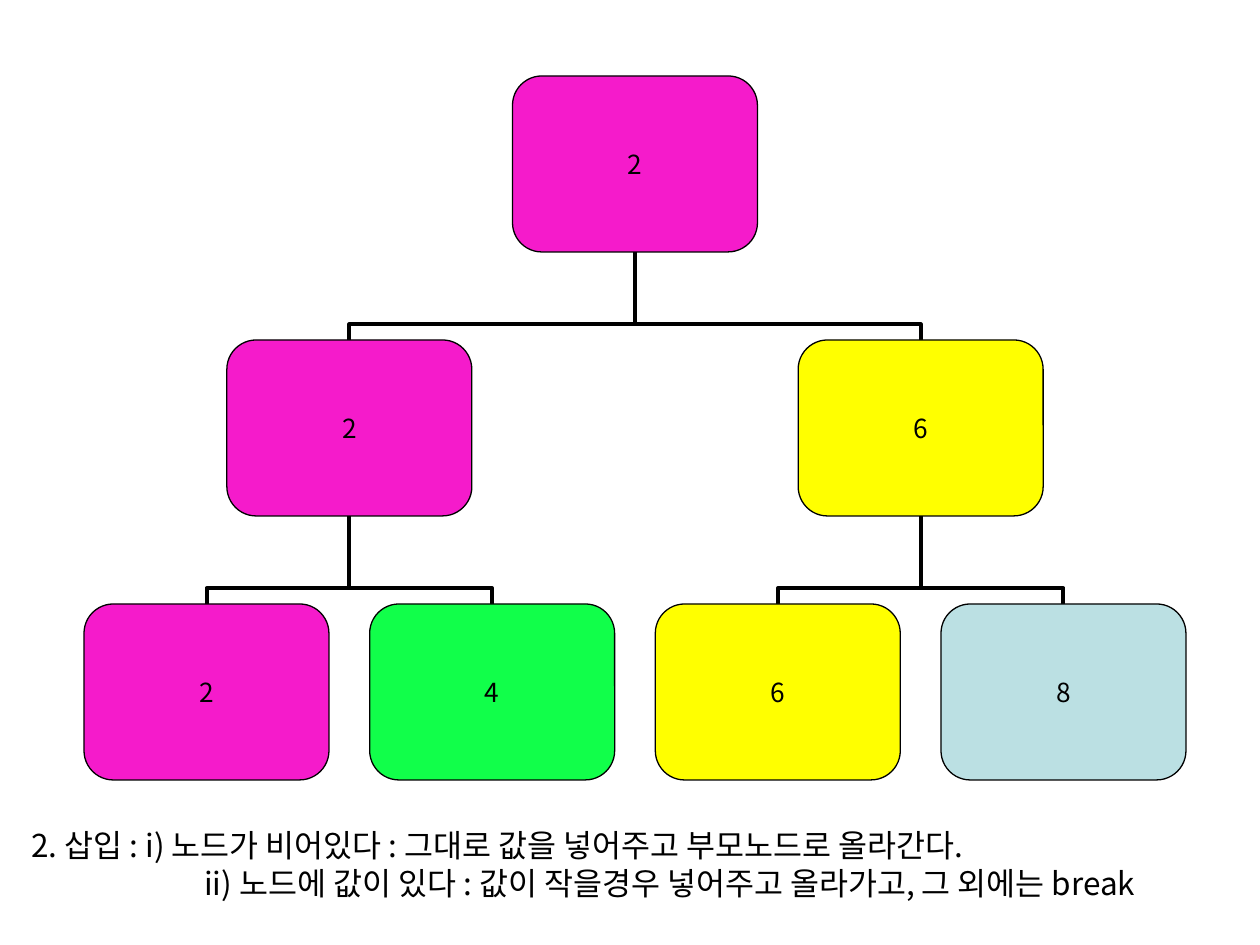
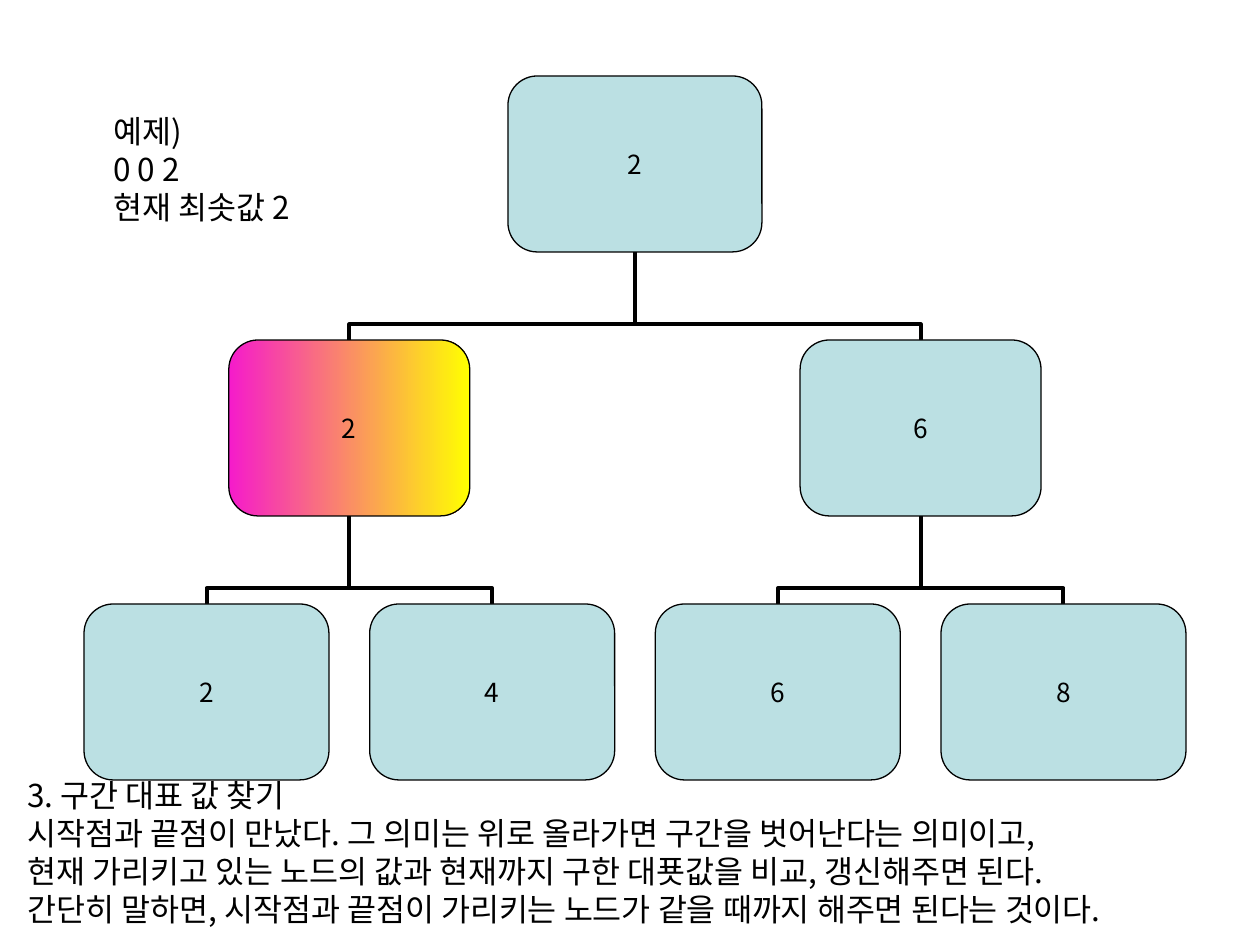
from lxml import etree
from pptx import Presentation
from pptx.dml.color import RGBColor
from pptx.enum.shapes import MSO_CONNECTOR, MSO_SHAPE
from pptx.enum.text import MSO_ANCHOR, PP_ALIGN
from pptx.oxml.ns import qn
from pptx.util import Emu, Pt

ELBOW = MSO_CONNECTOR.ELBOW
ROUND_RECT = MSO_SHAPE.ROUNDED_RECTANGLE
MIDDLE, CENTER = MSO_ANCHOR.MIDDLE, PP_ALIGN.CENTER

SCALE = 914400 // 126  # EMU in one px
FONT = "Noto Sans CJK KR"
COLORS = {
    "black": "000000",
    "magenta": "F51BCB",
    "yellow": "FFFF00",
    "green": "11FF4A",
    "pale": "BBE0E3",
}

# Tree shared by both slides
TREE_BOX = (84, 76, 1102, 704)  # left, top, width, height
LEVELS = [[2], [2, 6], [2, 4, 6, 8]]  # each parent is the minimum of its pair
NODE_H, LEAF_W, NODE_W = 176, 245, [245, 245, 245]
ELBOW_ADJ = 17900  # bend position, in 1/100000 of the height


def px(n):
    return Emu(int(n * SCALE))


def rgb(name):
    return RGBColor.from_string(COLORS[name])


def add_run(p, text, size):
    r = p.add_run()
    r.text = text
    r.font.size = Pt(size)
    r.font.name = FONT
    r.font.color.rgb = rgb("black")
    etree.SubElement(r.font._element, qn("a:ea"), typeface=FONT)


def add_node(s, cx, top, width, value, color):
    sp = s.shapes.add_shape(ROUND_RECT, px(cx - width / 2), px(top), px(width), px(NODE_H))
    sp.shadow.inherit = False
    # A pair of colours means a gradient from left to right
    if isinstance(color, tuple):
        sp.fill.gradient()
        sp.fill.gradient_angle = 0
        for stop, name in zip(sp.fill.gradient_stops, color):
            stop.color.rgb = rgb(name)
    else:
        sp.fill.solid()
        sp.fill.fore_color.rgb = rgb(color)
    sp.line.color.rgb = rgb("black")
    sp.line.width = Pt(0.75)
    tf = sp.text_frame
    tf.margin_left = tf.margin_right = tf.margin_top = tf.margin_bottom = 0
    tf.vertical_anchor = MIDDLE
    tf.word_wrap = False
    p = tf.paragraphs[0]
    p.alignment = CENTER
    add_run(p, str(value), 15)


def add_branch(s, child_x, child_y, parent_x, parent_y):
    """Elbow from the top of a child up to the bottom of its parent."""
    # The elbow is laid out sideways, then turned a quarter about its centre
    mid_x, mid_y = (child_x + parent_x) / 2, (child_y + parent_y) / 2
    half_w, half_h = (child_y - parent_y) / 2, abs(child_x - parent_x) / 2
    is_left = child_x < parent_x
    side = 1 if is_left else -1
    c = s.shapes.add_connector(ELBOW, px(mid_x + side * half_w), px(mid_y + half_h),
                               px(mid_x - side * half_w), px(mid_y - half_h))
    c.line.color.rgb = rgb("black")
    c.line.width = Pt(2.25)
    sp_pr = c._element.spPr
    sp_pr.find(qn("a:xfrm")).set("rot", str((90 if is_left else 270) * 60000))
    av = sp_pr.find(qn("a:prstGeom")).get_or_add_avLst()
    etree.SubElement(av, qn("a:gd"), name="adj1", fmla=f"val {ELBOW_ADJ}")
    etree.SubElement(sp_pr, qn("a:effectLst"))


def add_tree(s, box, colors, widths=NODE_W):
    left, top, width, height = box
    # Leaves share the width evenly; each parent is centred over its pair
    gap = (width - LEAF_W) / (len(LEVELS[-1]) - 1)
    centers = [[left + LEAF_W / 2 + i * gap for i in range(len(LEVELS[-1]))]]
    while len(centers[0]) > 1:
        row = centers[0]
        centers.insert(0, [(a + b) / 2 for a, b in zip(row[::2], row[1::2])])
    step = (height - NODE_H) / (len(LEVELS) - 1)
    tops = [top + i * step for i in range(len(LEVELS))]

    # Branches lie behind the nodes
    for depth in range(len(LEVELS) - 1, 0, -1):
        for i, cx in enumerate(centers[depth]):
            add_branch(s, cx, tops[depth], centers[depth - 1][i // 2], tops[depth - 1] + NODE_H)
    for depth, values in enumerate(LEVELS):
        for cx, value, color in zip(centers[depth], values, colors[depth]):
            add_node(s, cx, tops[depth], widths[depth], value, color)


def add_text(s, box, lines, indents=()):
    tf = s.shapes.add_textbox(*map(px, box)).text_frame
    tf.word_wrap = True
    for i, line in enumerate(lines):
        p = tf.paragraphs[0] if i == 0 else tf.add_paragraph()
        if i < len(indents):
            p._p.get_or_add_pPr().set("marL", str(px(indents[i])))
        add_run(p, line, 18)


def build_insert(s):
    add_tree(s, TREE_BOX, [["magenta"], ["magenta", "yellow"],
                           ["magenta", "green", "yellow", "pale"]])
    add_text(s, (19, 820, 1236, 88), [
        "2. 삽입 : i) 노드가 비어있다 : 그대로 값을 넣어주고 부모노드로 올라간다.",
        "ii) 노드에 값이 있다 : 값이 작을경우 넣어주고 올라가고, 그 외에는 break",
    ], indents=(0, 173))


def build_query(s):
    add_tree(s, TREE_BOX, [["pale"], [("magenta", "yellow"), "pale"], ["pale"] * 4],
             widths=[254, 241, 245])
    # Example
    add_text(s, (101, 106, 350, 126), ["예제)", "0 0 2", "현재 최솟값 2"])
    # Explanation
    add_text(s, (15, 770, 1241, 164), [
        "3. 구간 대표 값 찾기",
        "시작점과 끝점이 만났다. 그 의미는 위로 올라가면 구간을 벗어난다는 의미이고,",
        "현재 가리키고 있는 노드의 값과 현재까지 구한 대푯값을 비교, 갱신해주면 된다.",
        "간단히 말하면, 시작점과 끝점이 가리키는 노드가 같을 때까지 해주면 된다는 것이다.",
    ])


def main():
    prs = Presentation()
    prs.slide_width, prs.slide_height = px(1260), px(945)
    for build in (build_insert, build_query):
        build(prs.slides.add_slide(prs.slide_layouts[6]))
    prs.save("out.pptx")


if __name__ == "__main__":
    main()
